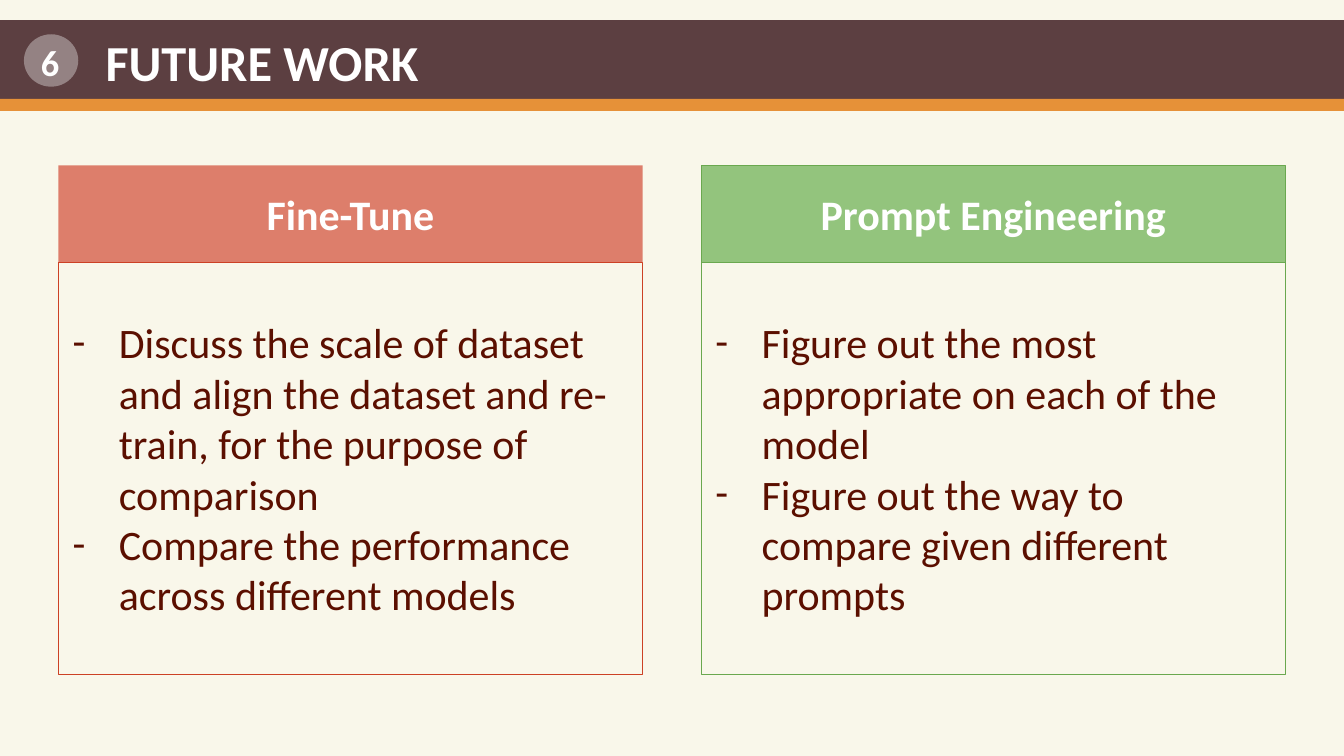
from dataclasses import dataclass

from lxml import etree
from pptx import Presentation
from pptx.dml.color import RGBColor
from pptx.enum.shapes import MSO_SHAPE
from pptx.enum.text import MSO_ANCHOR, MSO_AUTO_SIZE, PP_ALIGN
from pptx.oxml.ns import qn
from pptx.util import Inches, Pt

RECTANGLE, OVAL = MSO_SHAPE.RECTANGLE, MSO_SHAPE.OVAL
LEFT, CENTER = PP_ALIGN.LEFT, PP_ALIGN.CENTER
TOP, MIDDLE = MSO_ANCHOR.TOP, MSO_ANCHOR.MIDDLE
NO_AUTOFIT = MSO_AUTO_SIZE.NONE

WIDTH, HEIGHT = Inches(13.34), Inches(7.5)
COLUMNS, ROWS = 23, 75
COLUMN, ROW = WIDTH / COLUMNS, HEIGHT / ROWS
COMPARISON_LAYOUT = 4
FONT = "Calibri"
WHITE, CREAM, PLUM, ORANGE, MAROON = "FFFFFF", "F9F7EA", "5C3F41", "E69138", "5B0F00"


@dataclass(frozen=True)
class Area:
    """A rectangle in grid columns and rows."""
    column: float
    row: float
    columns: float
    rows: float

    def place(self, box) -> None:
        box.left, box.top = round(self.column * COLUMN), round(self.row * ROW)
        box.width, box.height = round(self.columns * COLUMN), round(self.rows * ROW)


@dataclass(frozen=True)
class BannerPart:
    kind: int
    area: Area
    color: str
    opacity: int = 100


@dataclass(frozen=True)
class Card:
    heading: str
    items: tuple[str, ...]
    fill: str
    body_line: str
    heading_line: str | None = None


BANNER = (
    BannerPart(RECTANGLE, Area(0, 2, COLUMNS, 8.5), PLUM),
    BannerPart(RECTANGLE, Area(0, 9.8, COLUMNS, 1.2), ORANGE),
    BannerPart(OVAL, Area(0.41, 3.4, 0.93, 5.2), WHITE, opacity=35),
)
TITLE_AREA = Area(1.57, 2.1, 5.83, 8.1)
NUMBER_AREA = Area(0.53, 3, 1.4, 6.4)

CARD_COLUMNS, CARD_GAP = 10, 1
HEADING_ROW, BODY_ROW, BODY_ROWS = 16.4, 26, 40.9
CARDS = (
    Card("Fine-Tune",
         ("Discuss the scale of dataset and align the dataset and re-train, "
          "for the purpose of comparison",
          "Compare the performance across different models"),
         fill="DD7E6B", body_line="CC4125"),
    Card("Prompt Engineering",
         ("Figure out the most appropriate on each of the model",
          "Figure out the way to compare given different prompts"),
         fill="93C47D", body_line="6AA84F", heading_line="6AA84F"),
)


def rgb(color: str) -> RGBColor:
    return RGBColor.from_string(color)


def paint(box, fill: str | None = None, line: str | None = None) -> None:
    if fill:
        box.fill.solid()
        box.fill.fore_color.rgb = rgb(fill)
    else:
        box.fill.background()
    if line:
        box.line.color.rgb = rgb(line)
        box.line.width = Pt(0.75)
    else:
        box.line.fill.background()


def add_dash(para, color: str) -> None:
    """Give the paragraph a hanging dash bullet."""
    properties = para._p.get_or_add_pPr()
    properties.set("marL", str(Inches(0.5)))
    properties.set("indent", str(Inches(-0.46)))
    bullet_color = etree.SubElement(properties, qn("a:buClr"))
    etree.SubElement(bullet_color, qn("a:srgbClr"), val=color)
    etree.SubElement(properties, qn("a:buFont"), typeface=FONT)
    etree.SubElement(properties, qn("a:buChar"), char="-")


def write(box, *texts: str, size: float, color: str = WHITE, bold: bool = False,
          align: int = CENTER, anchor: int = MIDDLE, inset: float = 0.05,
          wrap: bool = True, dashes: bool = False) -> None:
    frame = box.text_frame
    frame.word_wrap, frame.auto_size, frame.vertical_anchor = wrap, NO_AUTOFIT, anchor
    frame.margin_left = frame.margin_right = Inches(0.1)
    frame.margin_top = frame.margin_bottom = Inches(inset)
    for index, text in enumerate(texts):
        para = frame.add_paragraph() if index else frame.paragraphs[0]
        para.alignment, para.line_spacing = align, 1.0
        para.space_before = para.space_after = Pt(0)
        if dashes:
            add_dash(para, color)
        span = para.add_run()
        span.text = text
        span.font.name, span.font.size, span.font.bold = FONT, Pt(size), bold
        span.font.color.rgb = rgb(color)


def draw_banner_part(page, part: BannerPart) -> None:
    """Draw the part behind the title."""
    shape = page.shapes.add_shape(part.kind, 0, 0, 0, 0)
    part.area.place(shape)
    shape.shadow.inherit = False
    paint(shape, part.color)
    if part.opacity < 100:
        tint = shape.element.spPr.find(qn("a:solidFill"))[0]
        etree.SubElement(tint, qn("a:alpha"), val=str(part.opacity * 1000))
    page.shapes.title.element.addprevious(shape.element)


def fill_card(page, index: int, card: Card) -> None:
    """Use the layout's heading and body pair for the card at this index."""
    column = CARD_GAP + index * (CARD_COLUMNS + CARD_GAP)
    heading = page.placeholders[1 + 2 * index]
    body = page.placeholders[2 + 2 * index]
    Area(column, HEADING_ROW, CARD_COLUMNS, BODY_ROW - HEADING_ROW).place(heading)
    Area(column, BODY_ROW, CARD_COLUMNS, BODY_ROWS).place(body)
    paint(heading, card.fill, card.heading_line)
    paint(body, line=card.body_line)
    write(heading, card.heading, size=30, bold=True)
    write(body, *card.items, size=30, color=MAROON, align=LEFT, dashes=True)


def main() -> None:
    deck = Presentation()
    deck.slide_width, deck.slide_height = WIDTH, HEIGHT
    page = deck.slides.add_slide(deck.slide_layouts[COMPARISON_LAYOUT])
    page.background.fill.solid()
    page.background.fill.fore_color.rgb = rgb(CREAM)

    for part in BANNER:
        draw_banner_part(page, part)
    TITLE_AREA.place(page.shapes.title)
    write(page.shapes.title, "FUTURE WORK", size=36, bold=True, anchor=TOP,
          inset=0.1, wrap=False)
    for index, card in enumerate(CARDS):
        fill_card(page, index, card)
    number = page.shapes.add_textbox(0, 0, 0, 0)
    NUMBER_AREA.place(number)
    write(number, "6", size=26, bold=True, align=LEFT, anchor=TOP, inset=0.1)

    deck.save("out.pptx")


if __name__ == "__main__":
    main()
